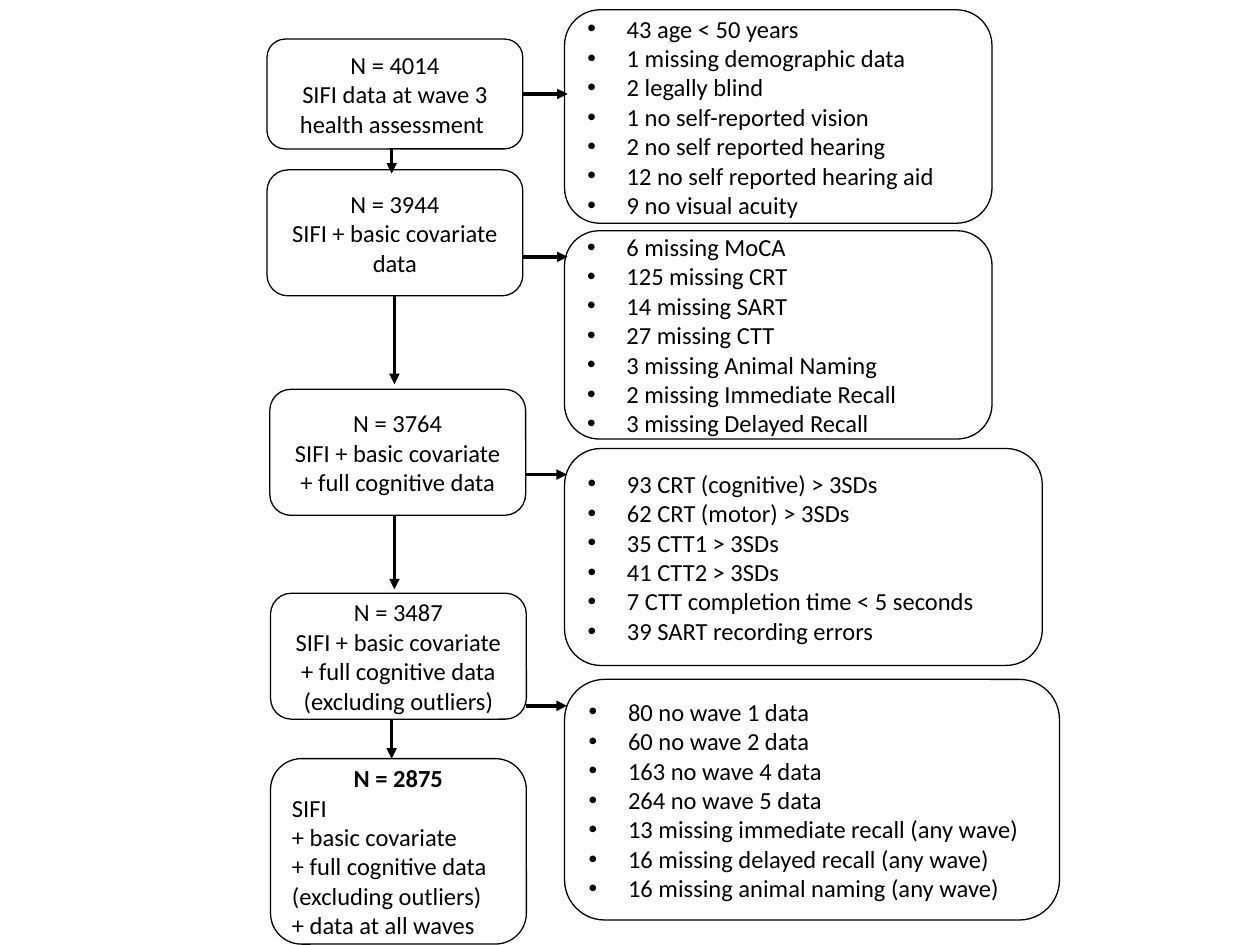
from lxml import etree
from pptx import Presentation
from pptx import util as u
from pptx.dml.color import RGBColor
from pptx.enum import shapes, text
from pptx.oxml.ns import qn

COLORS = {"ink": "000000", "box": "FFFFFF"}
FONT, SIZE = "Calibri", 14
INDENT = 22.5
STAGE_W = 146.2
SIDE_X = 322.6

# left, top, height, paragraphs
STAGES = [
    (152.6, 22.3, 62.8, ["N = 4014", "SIFI data at wave 3 health assessment "]),
    (152.6, 97.1, 72, ["N = 3944", "SIFI + basic covariate data"]),
    (154.2, 222.5, 72, ["N = 3764", "SIFI + basic covariate + full cognitive data"]),
    (154.6, 339, 72, ["N = 3487", "SIFI + basic covariate + full cognitive data "
                      "(excluding outliers)"]),
]
FINAL = (154.6, 433.5, 106, ["N = 2875", "SIFI ", "+ basic covariate ",
                             "+ full cognitive data (excluding outliers) ",
                             "+ data at all waves"])
# top, width, height, bullets
EXCLUSIONS = [
    (5.6, 244.3, 122, ["43 age < 50 years", "1 missing demographic data",
                       "2 legally blind", "1 no self-reported vision",
                       "2 no self reported hearing",
                       "12 no self reported hearing aid", "9 no visual acuity"]),
    (131.9, 244.3, 119, ["6 missing MoCA", "125 missing CRT", "14 missing SART",
                         "27 missing CTT", "3 missing Animal Naming",
                         "2 missing Immediate Recall", "3 missing Delayed Recall"]),
    (256.3, 273, 124, ["93 CRT (cognitive) > 3SDs", "62 CRT (motor) > 3SDs",
                       "35 CTT1 > 3SDs", "41 CTT2 > 3SDs",
                       "7 CTT completion time < 5 seconds",
                       "39 SART recording errors"]),
    (388.2, 282.8, 137.5, ["80 no wave 1 data", "60 no wave 2 data",
                           "163 no wave 4 data", "264 no wave 5 data",
                           "13 missing immediate recall (any wave)",
                           "16 missing delayed recall (any wave)",
                           "16 missing animal naming (any wave)"]),
]
# x, start y, end y
DOWN_ARROWS = [(223.8, 85, 99.2), (225.4, 169.2, 219.6),
               (225.4, 294.5, 336.8), (223.8, 411, 433.5)]
# y, start x, end x
SIDE_ARROWS = [(53.7, 298.3, 324.4), (146.8, 298.3, 324.4),
               (271.2, 300.4, 324), (403.3, 300.4, 324)]


def rgb(name):
    """Return the named colour."""
    return RGBColor.from_string(COLORS[name])


def add_box(s, x, y, w, h, lines):
    """Add a rounded box with left-aligned lines; return its paragraphs."""
    sp = s.shapes.add_shape(shapes.MSO_SHAPE.ROUNDED_RECTANGLE,
                            u.Pt(x), u.Pt(y), u.Pt(w), u.Pt(h))
    sp.shadow.inherit = False
    sp.fill.solid()
    sp.fill.fore_color.rgb = rgb("box")
    sp.line.color.rgb = rgb("ink")
    sp.line.width = u.Pt(0.75)
    tf = sp.text_frame
    tf.word_wrap = True
    tf.vertical_anchor = text.MSO_ANCHOR.MIDDLE
    tf.text = "\n".join(lines)
    for p in tf.paragraphs:
        p.alignment = text.PP_ALIGN.LEFT
        p.font.name = FONT
        p.font.size = u.Pt(SIZE)
        p.font.color.rgb = rgb("ink")
    return tf.paragraphs


def add_bullet(p):
    """Give a paragraph a round bullet with a hanging indent."""
    pPr = p._p.get_or_add_pPr()
    pPr.set("marL", str(u.Pt(INDENT)))
    pPr.set("indent", str(-u.Pt(INDENT)))
    font = etree.Element(qn("a:buFont"), typeface="Arial")
    char = etree.Element(qn("a:buChar"), char="•")
    pPr.insert(0, font)
    font.addnext(char)


def add_arrow(s, x1, y1, x2, y2):
    """Add a straight line with a triangle at its end."""
    cx = s.shapes.add_connector(shapes.MSO_CONNECTOR.STRAIGHT,
                                u.Pt(x1), u.Pt(y1), u.Pt(x2), u.Pt(y2))
    cx.line.color.rgb = rgb("ink")
    cx.line.width = u.Pt(2)
    etree.SubElement(cx.line._get_or_add_ln(), qn("a:tailEnd"), type="triangle")
    etree.SubElement(cx._element.spPr, qn("a:effectLst"))


def main():
    """Build the participant flow chart."""
    prs = Presentation()
    prs.slide_width, prs.slide_height = u.Pt(720), u.Pt(540)
    s = prs.slides.add_slide(prs.slide_layouts[6])
    for x, y, h, lines in STAGES:
        for p in add_box(s, x, y, STAGE_W, h, lines):
            p.alignment = text.PP_ALIGN.CENTER
    x, y, h, lines = FINAL
    total = add_box(s, x, y, STAGE_W, h, lines)[0]
    total.alignment = text.PP_ALIGN.CENTER
    total.font.bold = True
    for y, w, h, lines in EXCLUSIONS:
        for p in add_box(s, SIDE_X, y, w, h, lines):
            add_bullet(p)
    for x, y1, y2 in DOWN_ARROWS:
        add_arrow(s, x, y1, x, y2)
    for y, x1, x2 in SIDE_ARROWS:
        add_arrow(s, x1, y, x2, y)
    prs.save("out.pptx")


main()
